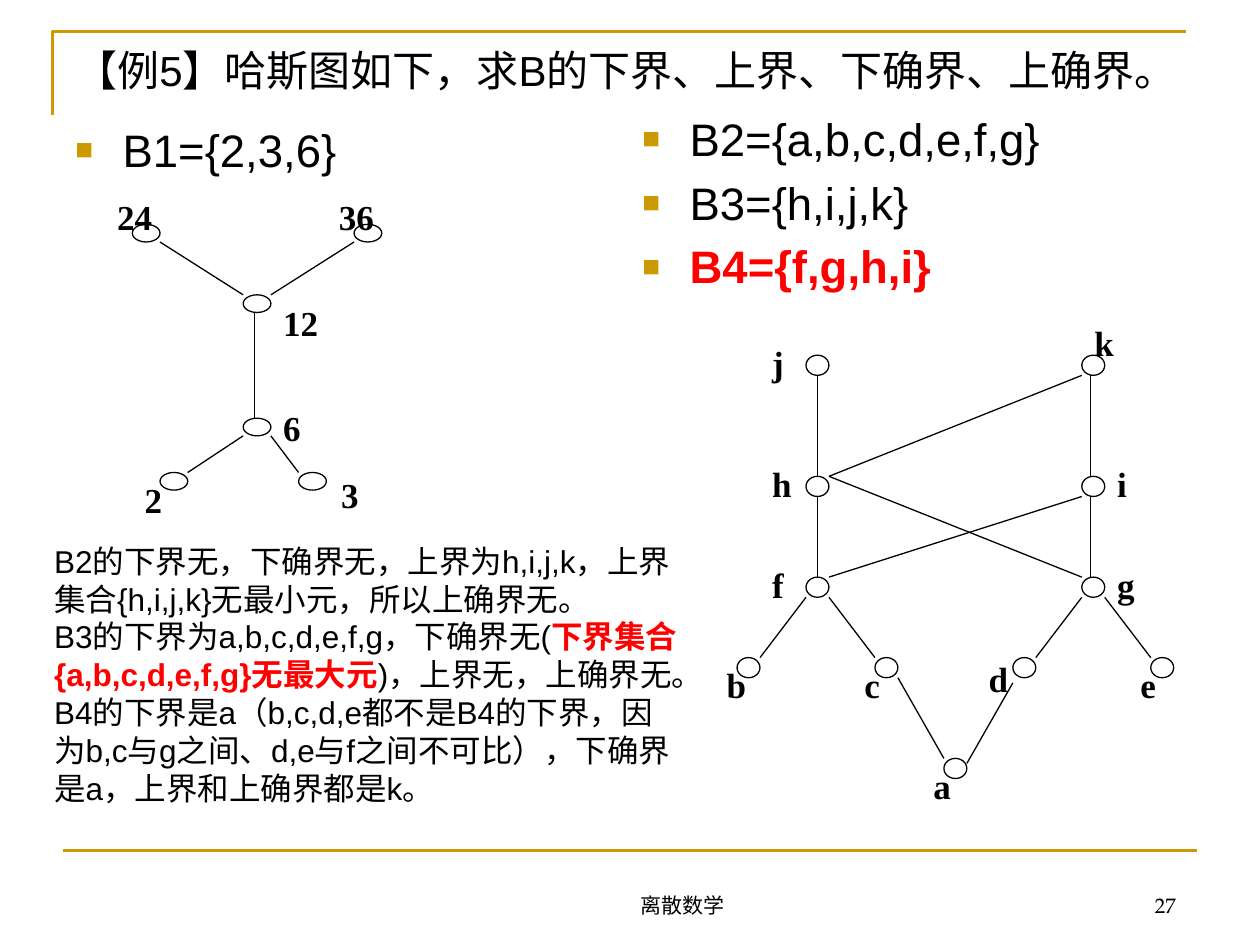
import pptx
import pptx.util
import pptx.dml.color
import pptx.enum.lang
import pptx.enum.shapes
import pptx.enum.text
import pptx.oxml.ns
import lxml.etree

Pt = pptx.util.Pt
RGBColor = pptx.dml.color.RGBColor
ALIGN = pptx.enum.text.PP_ALIGN
ANCHOR = pptx.enum.text.MSO_ANCHOR
CHINESE = pptx.enum.lang.MSO_LANGUAGE_ID.SIMPLIFIED_CHINESE
qn = pptx.oxml.ns.qn

BLACK = RGBColor(0, 0, 0)
WHITE = RGBColor(255, 255, 255)
RED = RGBColor(255, 0, 0)
GOLD = RGBColor(204, 153, 0)

TITLE_FONT = {"name": "Arial", "size": Pt(24)}
BODY_FONT = {"name": "Arial", "size": Pt(26)}
ANSWER_FONT = {"name": "Arial", "size": Pt(18)}
FOOTER_FONT = {"name": "TeX Gyre Pagella", "size": Pt(12)}
LABEL_FONT = {"name": "Times New Roman", "size": Pt(20), "bold": True}

TITLE = [["【例5】哈斯图如下，求B的下界、上界、下确界、上确界。"]]
LEFT_SETS = [["B1={2,3,6}"]]
RIGHT_SETS = [["B2={a,b,c,d,e,f,g}"], ["B3={h,i,j,k}"], [("B4={f,g,h,i}", RED)]]
ANSWERS = [
    ["B2的下界无，下确界无，上界为h,i,j,k，上界集合{h,i,j,k}无最小元，所以上确界无。"],
    ["B3的下界为a,b,c,d,e,f,g，下确界无(", ("下界集合{a,b,c,d,e,f,g}无最大元", RED),
     ")，上界无，上确界无。"],
    ["B4的下界是a（b,c,d,e都不是B4的下界，因为b,c与g之间、d,e与f之间不可比），"
     "下确界是a，上界和上确界都是k。"],
]

TEXTS = [
    (TITLE, (36, 21.6, 648, 90), TITLE_FONT, {}, False),
    (LEFT_SETS, (36, 66.2, 318, 234), BODY_FONT, {}, True),
    (RIGHT_SETS, (360, 60, 330, 389), BODY_FONT, {}, True),
    (ANSWERS, (23.8, 306, 372, 181), ANSWER_FONT, {}, False),
    ([["离散数学"]], (276, 492, 228, 36), FOOTER_FONT,
     {"alignment": ALIGN.CENTER, "anchor": ANCHOR.BOTTOM}, False),
    ([["27"]], (600, 492, 79, 36), FOOTER_FONT,
     {"alignment": ALIGN.RIGHT, "anchor": ANCHOR.BOTTOM}, False),
]

NONE = (0, 0)
ASIDE = (-1.4, 0)
DOWN = (0, 2.9)

DIVISOR_DIAGRAM = {
    "node_size": (15.84, 10.08),
    "label_size": (47.5, 30.2),
    "columns": [75.6 + 15.84 * step for step in range(9)],
    "rows": [128.2, 168.5, 239, 270],
    "nodes": {
        "24": (0, 0, -15.8, -20.2), "36": (8, 0, -15.8, -20.2),
        "12": (4, 1, 15.8, 0), "6": (4, 2, 15.8, -10.1),
        "2": (1, 3, -15.8, 0), "3": (6, 3, 17.3, -2.9),
    },
    "edges": [("24", "12", NONE, NONE), ("36", "12", NONE, NONE),
              ("12", "6", ASIDE, ASIDE), ("6", "2", NONE, NONE),
              ("6", "3", NONE, NONE)],
}

LETTER_DIAGRAM = {
    "node_size": (13.1, 11.52),
    "label_size": (39.6, 34.6),
    "columns": [421.2 + 39.4 * step for step in range(7)],
    "rows": [203, 272.2, 329.8, 375.8, 433.4],
    "nodes": {
        "j": (1, 0, -26.5, -11.5), "k": (5, 0, 0, -23),
        "h": (1, 1, -26.5, -11.5), "i": (5, 1, 13.1, -11.5),
        "f": (1, 2, -26.5, -11.5), "g": (5, 2, 13.1, -11.5),
        "b": (0, 3, -13.1, 0), "c": (2, 3, -13.1, 0),
        "d": (4, 3, -20.9, -3.6), "e": (6, 3, -13.1, 0),
        "a": (3, 4, -13.1, 0),
    },
    "edges": [("j", "h", NONE, NONE), ("h", "f", NONE, NONE),
              ("k", "i", ASIDE, ASIDE), ("i", "g", ASIDE, ASIDE),
              ("k", "h", NONE, NONE), ("i", "f", NONE, NONE),
              ("h", "g", (0, -11.52), NONE),
              ("f", "b", NONE, NONE), ("f", "c", NONE, NONE),
              ("g", "d", NONE, NONE), ("g", "e", NONE, NONE),
              ("c", "a", NONE, NONE), ("d", "a", DOWN, DOWN)],
}


def apply_format(target, values):
    for name, value in values.items():
        setattr(target, name, value)


def add_bullet(paragraph):
    properties = paragraph._p.get_or_add_pPr()
    properties.set("marL", str(Pt(27)))
    properties.set("indent", str(-Pt(27)))
    spacing = lxml.etree.SubElement(properties, qn("a:spcBef"))
    lxml.etree.SubElement(spacing, qn("a:spcPct"), val="20000")
    color = lxml.etree.SubElement(properties, qn("a:buClr"))
    lxml.etree.SubElement(color, qn("a:srgbClr"), val=str(GOLD))
    lxml.etree.SubElement(properties, qn("a:buSzPct"), val="65000")
    lxml.etree.SubElement(properties, qn("a:buFont"), typeface="Arial")
    lxml.etree.SubElement(properties, qn("a:buChar"), char="■")


def add_text(shapes, paragraphs, box, font, layout, bulleted=False):
    frame = shapes.add_textbox(*map(Pt, box)).text_frame
    apply_format(frame, {"word_wrap": True,
                         "vertical_anchor": layout.get("anchor", ANCHOR.TOP)})
    for index, pieces in enumerate(paragraphs):
        paragraph = frame.add_paragraph() if index else frame.paragraphs[0]
        paragraph.alignment = layout.get("alignment", ALIGN.LEFT)
        if bulleted:
            add_bullet(paragraph)
        for piece in pieces:
            text, color = (piece, BLACK) if isinstance(piece, str) else piece
            run = paragraph.add_run()
            run.text = text
            apply_format(run.font, {"language_id": CHINESE, **font})
            run.font.color.rgb = color
            if color == RED:
                run.font.bold = True


def add_line(shapes, begin, end, color, width):
    line = shapes.add_connector(pptx.enum.shapes.MSO_CONNECTOR.STRAIGHT,
                                *map(Pt, (*begin, *end)))
    line.line.color.rgb = color
    line.line.width = Pt(width)
    lxml.etree.SubElement(line._element.spPr, qn("a:effectLst"))


def add_diagram(slide, diagram):
    shapes = slide.shapes.add_group_shape().shapes
    width, height = diagram["node_size"]
    corners = {name: (diagram["columns"][column], diagram["rows"][row])
               for name, (column, row, _, _) in diagram["nodes"].items()}
    for left, top in corners.values():
        node = shapes.add_shape(pptx.enum.shapes.MSO_SHAPE.OVAL,
                                *map(Pt, (left, top, width, height)))
        node.shadow.inherit = False
        node.fill.solid()
        node.fill.fore_color.rgb = WHITE
        node.line.color.rgb = BLACK
        node.line.width = Pt(0.75)
    for upper, lower, begin_shift, end_shift in diagram["edges"]:
        (upper_left, upper_top), (lower_left, lower_top) = corners[upper], corners[lower]
        side = (lower_left > upper_left) - (lower_left < upper_left)
        begin = (upper_left + width * (1 + side) / 2 + begin_shift[0],
                 upper_top + height + begin_shift[1])
        end = (lower_left + width * (1 - side) / 2 + end_shift[0],
               lower_top + end_shift[1])
        add_line(shapes, begin, end, BLACK, 0.75)
    for name, (_, _, across, down) in diagram["nodes"].items():
        left, top = corners[name]
        add_text(shapes, [[name]], (left + across, top + down, *diagram["label_size"]),
                 LABEL_FONT, {"alignment": ALIGN.JUSTIFY})


def add_frame(slide):
    builder = slide.shapes.build_freeform(Pt(30), Pt(66))
    builder.add_line_segments([(Pt(30), Pt(18)), (Pt(678), Pt(18))], close=False)
    frame = builder.convert_to_shape()
    frame.shadow.inherit = False
    frame.fill.background()
    frame.line.color.rgb = GOLD
    frame.line.width = Pt(1.5)
    add_line(slide.shapes, (36, 486), (684, 486), GOLD, 1.5)


def main():
    presentation = pptx.Presentation()
    apply_format(presentation, {"slide_width": Pt(720), "slide_height": Pt(540)})
    slide = presentation.slides.add_slide(presentation.slide_layouts[6])
    add_frame(slide)
    for text in TEXTS:
        add_text(slide.shapes, *text)
    for diagram in (DIVISOR_DIAGRAM, LETTER_DIAGRAM):
        add_diagram(slide, diagram)
    presentation.save("out.pptx")


if __name__ == "__main__":
    main()
